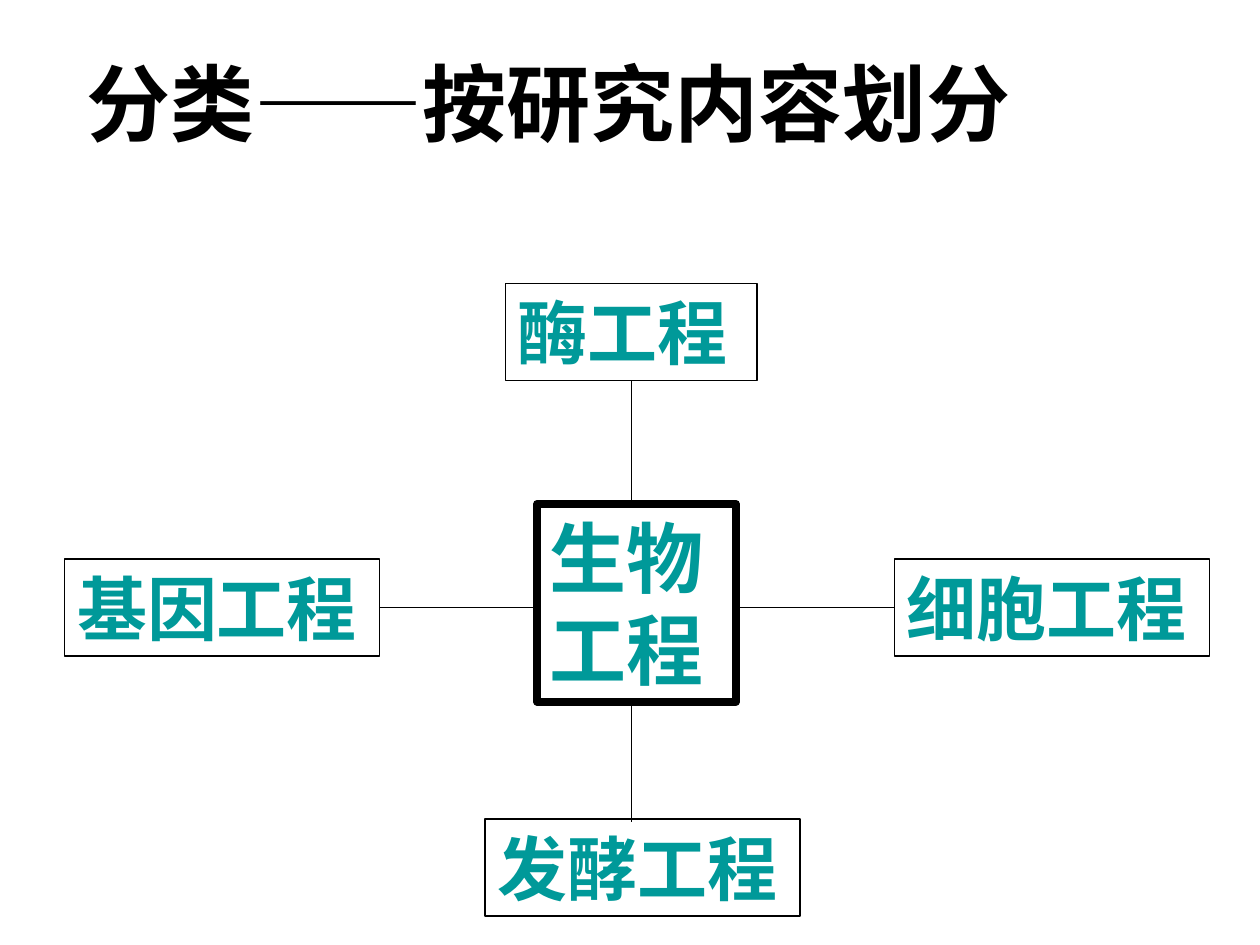
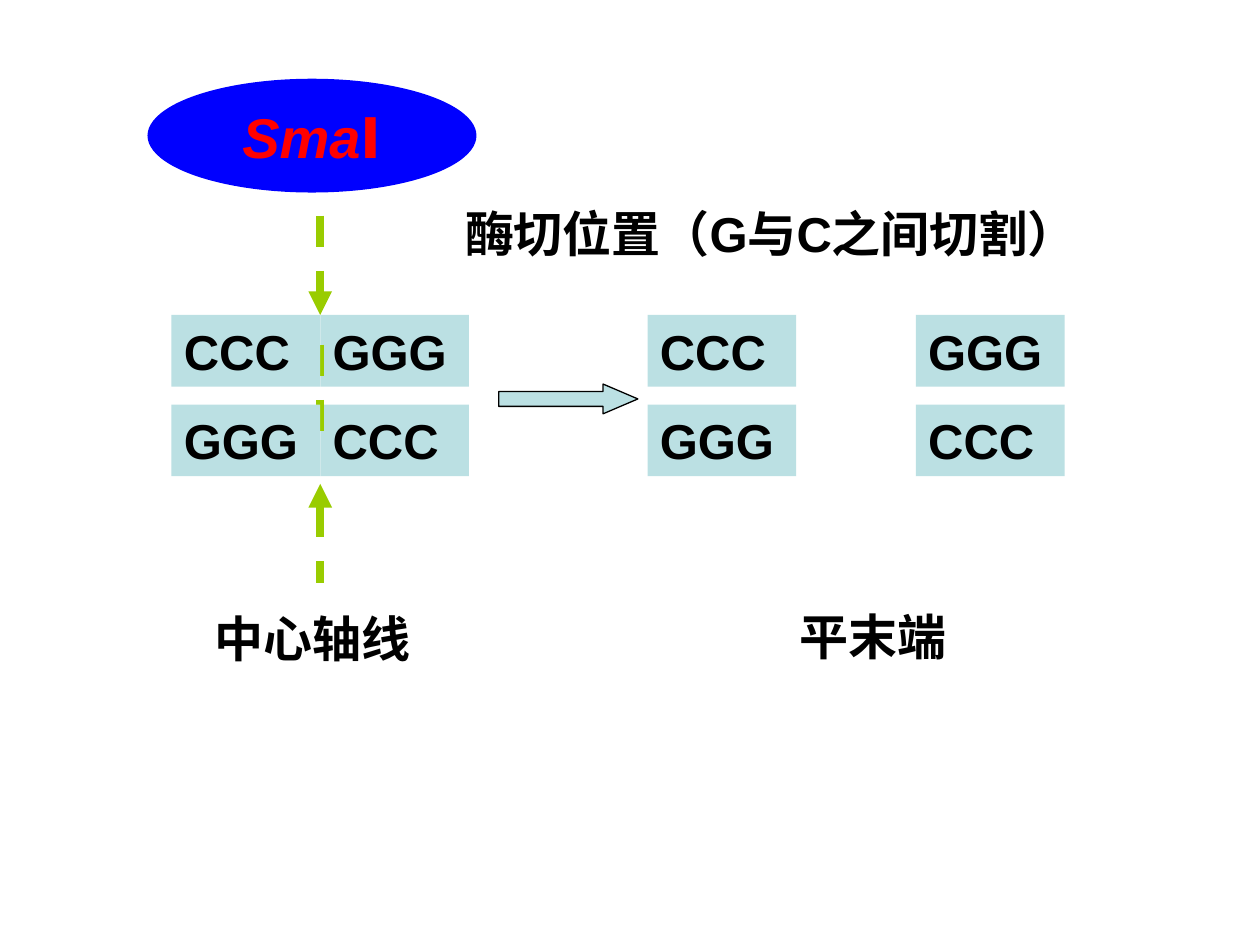
import pptx
import pptx.util
import pptx.oxml
import pptx.oxml.ns
import pptx.dml.color
import pptx.enum.dml
import pptx.enum.shapes
import pptx.enum.text

Pt = pptx.util.Pt
RGBColor = pptx.dml.color.RGBColor
SHAPE = pptx.enum.shapes.MSO_SHAPE
ALIGN = pptx.enum.text.PP_ALIGN
ANCHOR = pptx.enum.text.MSO_ANCHOR

BLACK = RGBColor(0x00, 0x00, 0x00)
TEAL = RGBColor(0x00, 0x99, 0x99)
PALE = RGBColor(0xBB, 0xE0, 0xE3)
LIME = RGBColor(0x99, 0xCC, 0x00)
BLUE = RGBColor(0x00, 0x00, 0xFF)
RED = RGBColor(0xFF, 0x00, 0x00)
SERIF = "Times New Roman"
SANS = "Arial"


def write(shape, runs, size, name, color, align=ALIGN.LEFT, anchor=ANCHOR.TOP):
    frame = shape.text_frame
    frame.word_wrap = True
    frame.auto_size = pptx.enum.text.MSO_AUTO_SIZE.NONE
    frame.vertical_anchor = anchor
    para = frame.paragraphs[0]
    para.alignment = align
    font = para.font
    font.size = Pt(size)
    font.name = name
    font.bold = True
    font.color.rgb = color
    for text, slant in runs:
        run = para.add_run()
        run.text = text
        if slant:
            run.font.italic = True


def add_form(slide, kind, area, fill=None, width=0):
    form = slide.shapes.add_shape(kind, *map(Pt, area))
    form.shadow.inherit = False
    if fill is None:
        form.fill.background()
    else:
        form.fill.solid()
        form.fill.fore_color.rgb = fill
    if width:
        form.line.color.rgb = BLACK
        form.line.width = Pt(width)
    else:
        form.line.fill.background()
    return form


def add_topic(slide, text, area, size=40, width=0.75):
    box = add_form(slide, SHAPE.RECTANGLE, area, width=width)
    write(box, [(text, False)], size, SERIF, TEAL)
    return box


def add_line(slide, start, end, color=BLACK, width=0.75, dash=False, tip=None):
    line = slide.shapes.add_connector(
        pptx.enum.shapes.MSO_CONNECTOR.STRAIGHT, *map(Pt, start + end))
    line.line.color.rgb = color
    line.line.width = Pt(width)
    if dash:
        line.line.dash_style = pptx.enum.dml.MSO_LINE.DASH
    props = line._element.spPr
    if tip:
        ln = props.find(pptx.oxml.ns.qn("a:ln"))
        ln.append(pptx.oxml.parse_xml(
            f'<a:{tip} {pptx.oxml.ns.nsdecls("a")} type="triangle"/>'))
    props.append(pptx.oxml.parse_xml(
        f'<a:effectLst {pptx.oxml.ns.nsdecls("a")}/>'))
    return line


def add_label(slide, text, area):
    label = slide.shapes.add_textbox(*map(Pt, area))
    write(label, [(text, False)], 28, SANS, BLACK)


def add_pair(slide, left, upper, lower):
    for top, text in ((180, upper), (231.2, lower)):
        cell = add_form(slide, SHAPE.RECTANGLE, (left, top, 85, 41), PALE)
        write(cell, [(text, False)], 28, SANS, BLACK)


def build_types(deck):
    slide = deck.slides.add_slide(deck.slide_layouts[5])
    title = slide.shapes.title
    title.left, title.top, title.width, title.height = map(Pt, (42.5, 26, 578, 65))
    write(title, [("分类——按研究内容划分", False)], 48, SERIF, BLACK)

    add_topic(slide, "生物工程", (307, 288, 113.5, 113), 44, 4.5)
    cell = add_topic(slide, "细胞工程", (511, 319.5, 180, 55.5))
    enzyme = add_topic(slide, "酶工程", (288.7, 162, 144, 55.5))
    add_topic(slide, "发酵工程", (277.2, 468, 180, 55.5))
    gene = add_topic(slide, "基因工程", (37, 319.5, 180, 55.5))

    axis, middle = 360.7, 347.25
    add_line(slide, (217, middle), (307, middle)).begin_connect(gene, 3)
    add_line(slide, (420.5, middle), (511, middle)).end_connect(cell, 1)
    add_line(slide, (axis, 217.5), (axis, 288)).begin_connect(enzyme, 2)
    add_line(slide, (axis, 402), (axis, 470))


def build_cut(deck):
    slide = deck.slides.add_slide(deck.slide_layouts[6])
    axis = 183
    add_pair(slide, axis, "GGG", "CCC")
    for top, tip in ((123.3, "tailEnd"), (276.5, "headEnd"), (197, None)):
        add_line(slide, (axis, top), (axis, top + 56.7), LIME, 4.5, True, tip)
    arrow = add_form(slide, SHAPE.RIGHT_ARROW, (285, 219.5, 79.5, 17), PALE, 0.75)
    arrow.adjustments[0] = 0.5
    arrow.adjustments[1] = 1.17
    add_pair(slide, axis - 85, "CCC", "GGG")
    add_pair(slide, 370, "CCC", "GGG")
    add_pair(slide, 523.3, "GGG", "CCC")
    add_label(slide, "中心轴线", (115.5, 344.3, 136, 41))
    add_label(slide, "平末端", (450, 343.3, 114, 41))
    add_label(slide, "酶切位置（G与C之间切割）", (258.7, 112.5, 366, 75))
    oval = add_form(slide, SHAPE.OVAL, (84.3, 45, 188, 65), BLUE)
    write(oval, [("Sma", True), ("Ⅰ", False)], 32, SANS, RED,
          ALIGN.CENTER, ANCHOR.MIDDLE)


def main():
    deck = pptx.Presentation()
    deck.slide_width, deck.slide_height = Pt(720), Pt(540)
    build_types(deck)
    build_cut(deck)
    deck.save("out.pptx")


if __name__ == "__main__":
    main()
